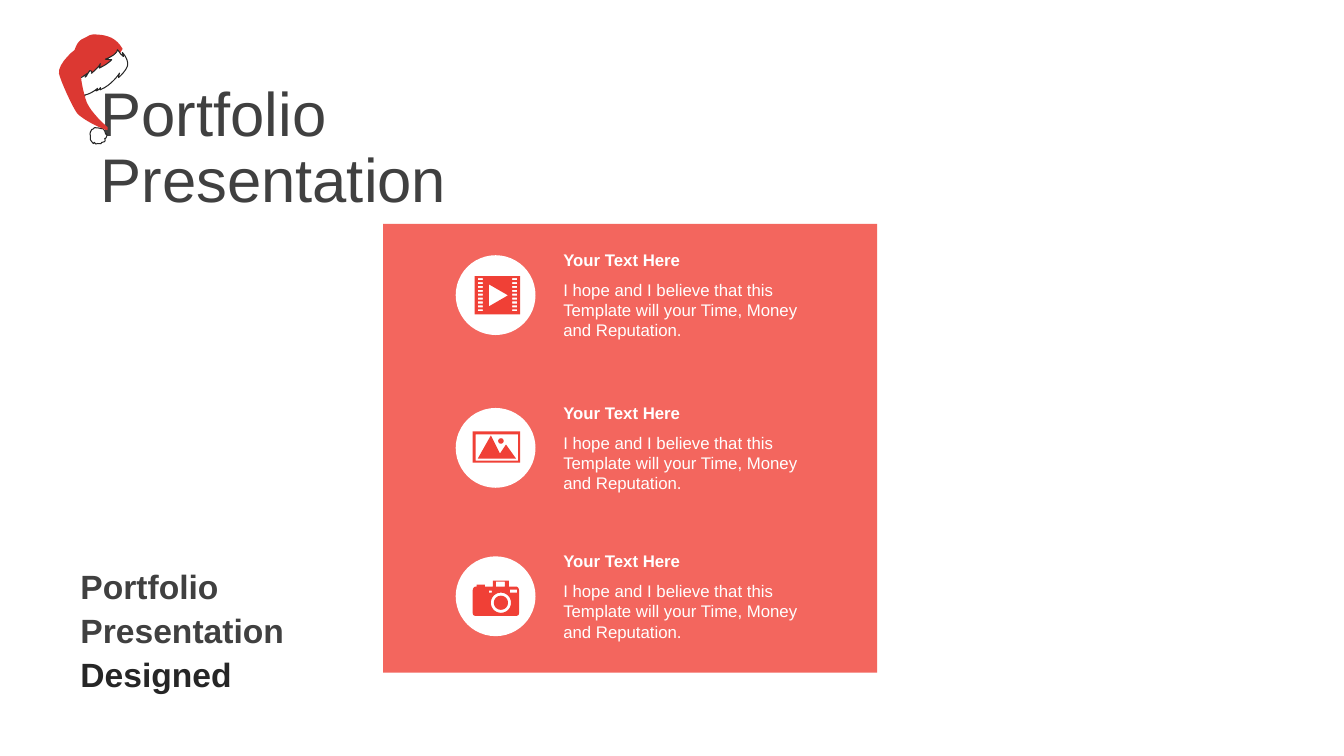
import math
from dataclasses import dataclass

from lxml import etree
from pptx import Presentation
from pptx.dml.color import RGBColor
from pptx.enum.shapes import MSO_SHAPE
from pptx.enum.text import MSO_ANCHOR
from pptx.oxml.ns import qn
from pptx.util import Pt

RECTANGLE, OVAL = MSO_SHAPE.RECTANGLE, MSO_SHAPE.OVAL
TOP, MIDDLE = MSO_ANCHOR.TOP, MSO_ANCHOR.MIDDLE
FONT = "Arial"
COLORS = {"red": "F04036", "hat": "DC3832", "white": "FFFFFF",
          "grey": "404040", "ink": "262626"}

GRID = 0.72  # points per unit of the drawing grid used by the outlines
CURVE_STEPS = 8
Contour = list[tuple[float, ...]]  # (x, y) is a line, six numbers are a curve


@dataclass
class Drawing:
    contours: list[Contour]
    fill: str
    line: str | None = None
    rotation: float = 0


@dataclass
class Feature:
    top: float
    heading: str
    body: str
    icon: Drawing


def box(left: float, top: float, right: float, bottom: float) -> Contour:
    return [(left, top), (right, top), (right, bottom), (left, bottom)]


def circle(x: float, y: float, radius: float) -> Contour:
    turns = [math.radians(step * 10) for step in range(36)]
    return [(x + radius * math.cos(t), y + radius * math.sin(t)) for t in turns]


def flatten(contour: Contour) -> list[tuple[float, float]]:
    """Turn a contour into plain points, in hundredths of a point."""
    points = [contour[0]]
    for step in contour[1:]:
        if len(step) == 2:
            points.append(step)
            continue
        x0, y0 = points[-1]
        x1, y1, x2, y2, x3, y3 = step
        for i in range(1, CURVE_STEPS + 1):
            t = i / CURVE_STEPS
            a, b, c, d = (1 - t) ** 3, 3 * t * (1 - t) ** 2, 3 * t * t * (1 - t), t ** 3
            points.append((a * x0 + b * x1 + c * x2 + d * x3,
                           a * y0 + b * y1 + c * y2 + d * y3))
    return [(x * GRID * 100, y * GRID * 100) for x, y in points]


def paint(shape, fill: str, line: str | None = None, opacity: int = 100) -> None:
    shape.shadow.inherit = False
    shape.fill.solid()
    shape.fill.fore_color.rgb = RGBColor.from_string(COLORS[fill])
    if opacity < 100:
        color = shape.fill._xPr.find(".//" + qn("a:srgbClr"))
        etree.SubElement(color, qn("a:alpha"), val=str(opacity * 1000))
    if line:
        shape.line.color.rgb = RGBColor.from_string(COLORS[line])
        shape.line.width = Pt(0.75)
    else:
        shape.line.fill.background()


def add_preset(slide, kind, left: float, top: float, width: float, height: float,
               fill: str, opacity: int = 100) -> None:
    shape = slide.shapes.add_shape(kind, Pt(left), Pt(top), Pt(width), Pt(height))
    paint(shape, fill, opacity=opacity)


def add_drawing(slide, drawing: Drawing) -> None:
    outlines = [flatten(contour) for contour in drawing.contours]
    builder = slide.shapes.build_freeform(*outlines[0][0], scale=Pt(0.01))
    for index, points in enumerate(outlines):
        if index:
            builder.move_to(*points[0])
        builder.add_line_segments(points[1:], close=True)
    shape = builder.convert_to_shape()
    shape.rotation = drawing.rotation
    paint(shape, drawing.fill, drawing.line)


def add_text(slide, runs: list[tuple[str, str]], *, left: float, top: float,
             width: float, height: float, size: float = 12, bold: bool = False,
             anchor=TOP, spacing: float = 1.0) -> None:
    frame = slide.shapes.add_textbox(Pt(left), Pt(top), Pt(width), Pt(height)).text_frame
    frame.word_wrap = True
    frame.vertical_anchor = anchor
    paragraph = frame.paragraphs[0]
    paragraph.line_spacing = spacing
    for text, color in runs:
        run = paragraph.add_run()
        run.text = text
        run.font.name, run.font.size, run.font.bold = FONT, Pt(size), bold
        run.font.color.rgb = RGBColor.from_string(COLORS[color])


# Icons: inner contours are holes
film_holes = [box(x, 276 + row * 3.85, x + 5, 278 + row * 3.85)
              for row in range(9) for x in (474, 508)]
film = Drawing([box(471, 274, 516, 312), [(485, 282), (485, 304), (504, 293)],
                *film_holes], "red")

mountains = [(487, 432), (496, 450), (502, 441), (512, 455), (474, 455)]
landscape = Drawing([box(469, 428, 516, 459), box(472, 431, 514, 457),
                     mountains, circle(497, 437.5, 2.7)], "red")

camera_body = [
    (490, 576), (504, 576), (505, 576, 505, 576, 505, 577), (505, 582), (512, 582),
    (514, 582, 515, 584, 515, 586), (515, 608), (515, 610, 514, 611, 512, 611),
    (472, 611), (470, 611, 469, 610, 469, 608), (469, 586),
    (469, 584, 470, 582, 472, 582), (473, 582), (473, 580), (481, 580), (481, 582),
    (489, 582), (489, 577), (489, 576, 489, 576, 490, 576)]
camera = Drawing([camera_body, circle(497, 598, 10), circle(497, 598, 7),
                  box(485, 586, 488, 588), box(506, 585, 513, 588),
                  box(492, 577, 501, 582)], "red")

# Santa hat, back to front
HAT_TILT = 345.1
crown = [(69, 73), (68, 72, 66, 71, 65, 70), (64, 62, 68, 54, 73, 49),
         (77, 43, 80, 37, 87, 36), (94, 35, 94, 33, 102, 36),
         (111, 39, 119, 44, 122, 56), (117, 61, 111, 66, 105, 71),
         (98, 71, 89, 71, 83, 72), (78, 72, 75, 72, 69, 73)]
pompom = [(89, 136), (90, 133), (90, 131), (91, 129), (93, 127), (94, 127), (96, 126),
          (99, 127), (101, 128), (103, 129), (104, 129), (105, 132), (105, 135),
          (106, 135), (106, 137, 105, 138, 104, 139), (103, 139), (103, 141),
          (102, 142), (99, 142), (98, 143), (95, 142), (93, 142), (92, 140), (91, 141),
          (89, 138, 89, 136, 89, 136)]
brim = [(126, 59), (126, 61, 126, 63, 126, 63), (125, 62, 125, 61, 124, 60),
        (123, 57, 122, 55, 122, 55), (120, 60, 108, 61, 108, 61),
        (110, 62, 114, 63, 114, 63), (110, 66, 100, 68, 100, 68), (102, 64),
        (100, 67, 91, 71, 91, 71), (93, 69, 90, 68, 90, 68),
        (87, 71, 84, 73, 84, 73), (87, 72, 87, 70, 87, 70),
        (87, 70, 81, 73, 75, 73), (69, 74, 68, 70, 68, 70),
        (66, 74, 69, 79, 69, 79), (67, 78), (69, 82, 74, 88, 74, 88), (72, 87),
        (72, 89, 74, 90, 74, 90), (78, 90), (79, 91), (78, 90),
        (85, 91, 93, 87, 93, 87), (92, 89, 91, 89, 91, 89),
        (94, 89, 96, 87, 96, 87), (95, 89), (107, 88, 118, 78, 118, 78),
        (117, 79, 116, 82, 116, 82), (116, 82, 126, 77, 128, 72),
        (130, 66, 126, 59, 126, 59)]
tail = [(92, 132), (92, 132, 75, 119, 71, 110), (68, 101, 64, 77, 64, 68),
        (65, 58, 87, 47, 91, 48), (96, 48, 89, 66, 86, 72),
        (83, 77, 83, 90, 83, 99), (83, 109, 91, 123, 97, 132),
        (96, 133, 98, 137, 92, 132)]
santa_hat = [Drawing([crown], "hat", None, HAT_TILT),
             Drawing([pompom], "white", "ink", HAT_TILT),
             Drawing([brim], "white", "ink", HAT_TILT),
             Drawing([tail], "hat", None, HAT_TILT)]

HEADING = "Your Text Here"
BODY = "I hope and I believe that this Template will your Time, Money and Reputation."
FEATURES = [Feature(182.3, HEADING, BODY, film),
            Feature(291.4, HEADING, BODY, landscape),
            Feature(397.4, HEADING, BODY, camera)]


def add_feature(slide, feature: Feature) -> None:
    add_preset(slide, OVAL, 325.5, feature.top, 57, 57, "white")
    add_text(slide, [(feature.body, "white")], left=395.3, top=feature.top + 14,
             width=189.4, height=51.1)
    add_text(slide, [(feature.heading, "white")], left=395.3, top=feature.top - 7.6,
             width=189.4, height=21.6, bold=True)
    add_drawing(slide, feature.icon)


def main() -> None:
    prs = Presentation()
    prs.slide_width, prs.slide_height = Pt(960), Pt(540)
    slide = prs.slides.add_slide(prs.slide_layouts[6])

    # Title and red panel
    add_text(slide, [("Portfolio Presentation", "grey")], left=64.8, top=41.8,
             width=297.4, height=130.3, size=44, anchor=MIDDLE, spacing=0.9)
    add_preset(slide, RECTANGLE, 273.6, 160, 353, 320.4, "red", opacity=80)

    # Tagline at lower left
    add_text(slide, [("Portfolio Presentation ", "grey"), ("Designed", "ink")],
             left=50.4, top=387.4, width=185.8, height=122.4, size=24, bold=True,
             anchor=MIDDLE, spacing=1.1)

    # Features and hat
    for feature in FEATURES:
        add_feature(slide, feature)
    for piece in santa_hat:
        add_drawing(slide, piece)

    prs.save("out.pptx")


if __name__ == "__main__":
    main()
